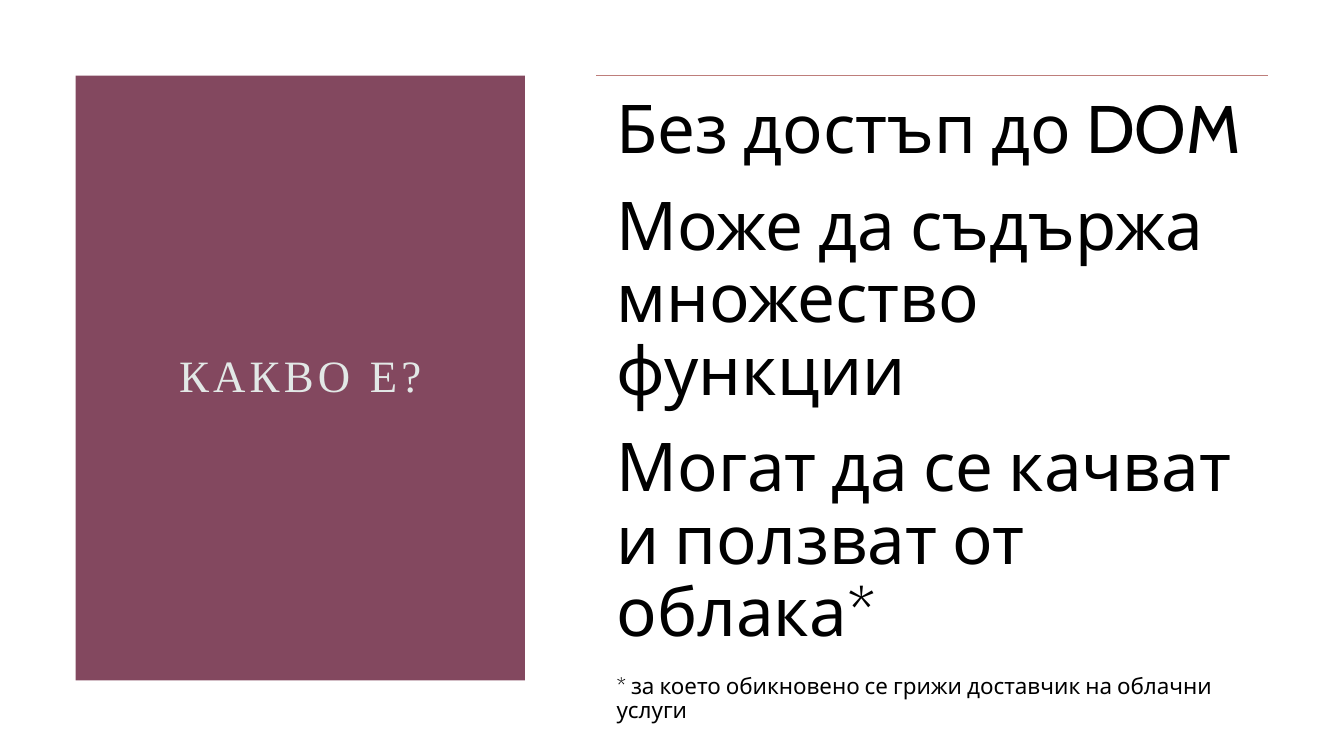
from pptx import Presentation
from pptx.dml.color import RGBColor
from pptx.enum.shapes import MSO_CONNECTOR as CONN, MSO_SHAPE as SHAPE
from pptx.enum.text import MSO_ANCHOR as ANCHOR, PP_ALIGN as ALIGN
from pptx.oxml.ns import qn
from pptx.util import Pt
from lxml import etree

PLUM = RGBColor(0x83, 0x48, 0x5F)
ROSE = RGBColor(0xBE, 0x7E, 0x7B)
MIST = RGBColor(0xE2, 0xE8, 0xE6)
BLACK = RGBColor(0, 0, 0)

TITLE = {"name": "Times New Roman", "size": Pt(32)}
BODY = {"name": "Cabin", "size": Pt(48)}
NOTE = {"name": "Cabin", "size": Pt(16)}


class Deck:
    def __init__(self, prs):
        self.s = prs.slides.add_slide(prs.slide_layouts[6])

    def panel(self, x, y, w, h, color):
        sp = self.s.shapes.add_shape(SHAPE.RECTANGLE, Pt(x), Pt(y), Pt(w), Pt(h))
        sp.shadow.inherit = False
        sp.fill.solid()
        sp.fill.fore_color.rgb = color
        sp.line.fill.background()

    def rule(self, x, y, w, color):
        c = self.s.shapes.add_connector(CONN.STRAIGHT, Pt(x), Pt(y), Pt(x + w), Pt(y))
        c.line.color.rgb = color
        c.line.width = Pt(1)
        etree.SubElement(c._element.spPr, qn("a:effectLst"))

    def text(self, x, y, w, h, lines, color, frame=None, para=None, spacing=0):
        tf = self.s.shapes.add_textbox(Pt(x), Pt(y), Pt(w), Pt(h)).text_frame
        tf.word_wrap = True
        for key, value in (frame or {}).items():
            setattr(tf, key, value)
        for i, (line, font) in enumerate(lines):
            p = tf.add_paragraph() if i else tf.paragraphs[0]
            p.line_spacing = 0.9
            for key, value in (para or {}).items():
                setattr(p, key, value)
            r = p.add_run()
            r.text = line
            r.font.color.rgb = color
            for key, value in font.items():
                setattr(r.font, key, value)
            if spacing:
                r._r.get_or_add_rPr().set("spc", str(spacing * 100))


def main():
    prs = Presentation()
    prs.slide_width, prs.slide_height = Pt(960), Pt(540)
    deck = Deck(prs)
    deck.panel(54, 54, 321, 432, PLUM)
    deck.text(108, 108, 213, 324, [("КАКВО Е?", TITLE)], MIST,
              {"vertical_anchor": ANCHOR.MIDDLE}, {"alignment": ALIGN.CENTER}, 3)
    deck.rule(426, 54, 480, ROSE)
    sides = ("left", "top", "right", "bottom")
    deck.text(426, 54, 480, 432, [
        ("Без достъп до DOM", BODY),
        ("Може да съдържа множество функции", BODY),
        ("Могат да се качват и ползват от облака*", BODY),
        ("* за което обикновено се грижи доставчик на облачни услуги", NOTE),
    ], BLACK, {f"margin_{side}": Pt(14.4) for side in sides}, {"space_after": Pt(17)})
    prs.save("out.pptx")


if __name__ == "__main__":
    main()
